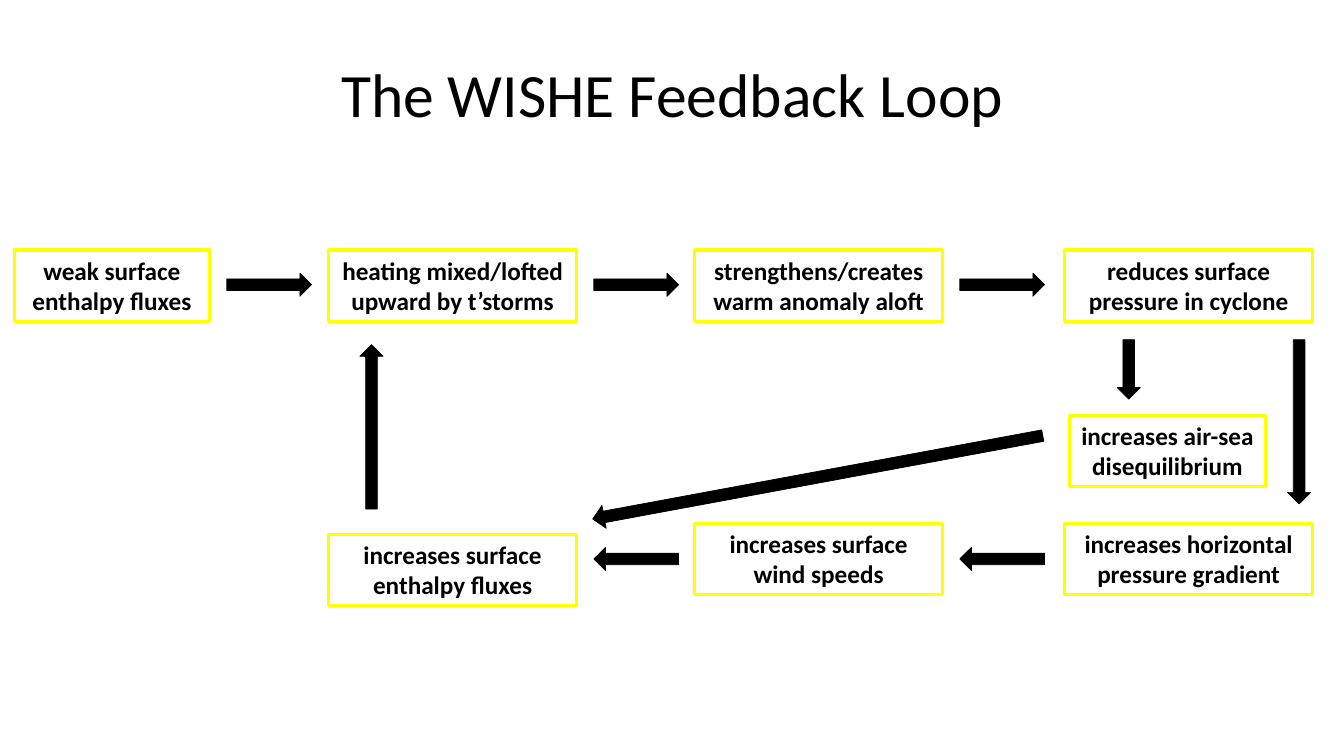
import pptx
import pptx.util
import pptx.dml.color
import pptx.enum.shapes
import pptx.enum.text

Inches = pptx.util.Inches
Shapes = pptx.enum.shapes.MSO_SHAPE
CENTER = pptx.enum.text.PP_ALIGN.CENTER


def color(value):
    return pptx.dml.color.RGBColor.from_string(value)


def add_block(kind, left, top, width, height, line_color, line_width):
    block = slide.shapes.add_shape(
        kind, Inches(left), Inches(top), Inches(width), Inches(height))
    block.shadow.inherit = False
    block.line.color.rgb = color(line_color)
    block.line.width = pptx.util.Pt(line_width)
    return block


deck = pptx.Presentation()
deck.slide_width, deck.slide_height = Inches(13.33), Inches(7.5)
slide = deck.slides.add_slide(deck.slide_layouts[5])

title = slide.shapes.title
title_place = {"left": 0.67, "top": 0.3, "width": 12, "height": 1.25}
for name, value in title_place.items():
    setattr(title, name, Inches(value))
title.text_frame.text = "The WISHE Feedback Loop"
title.text_frame.vertical_anchor = pptx.enum.text.MSO_ANCHOR.MIDDLE
title_para = title.text_frame.paragraphs[0]
title_para.alignment = CENTER
title_format = {"name": "Calibri", "size": pptx.util.Pt(44)}
for name, value in title_format.items():
    setattr(title_para.runs[0].font, name, value)
title_para.runs[0].font.color.rgb = color("000000")

columns = [0.14, 3.26, 6.89, 10.56]
narrow, wide, box_height = 1.94, 2.46, 0.71
upper, lower = 2.48, 5.19
steps = [
    ("weak surface enthalpy fluxes", columns[0], upper, narrow),
    ("heating mixed/lofted upward by t’storms", columns[1], upper, wide),
    ("strengthens/creates warm anomaly aloft", columns[2], upper, wide),
    ("reduces surface pressure in cyclone", columns[3], upper, wide),
    ("increases horizontal pressure gradient", columns[3], lower, wide),
    ("increases surface wind speeds", columns[2], lower, wide),
    ("increases air-sea disequilibrium", 10.61, 4.12, narrow),
    ("increases surface enthalpy fluxes", columns[1], 5.3, wide),
]
step_format = {"name": "Calibri", "size": pptx.util.Pt(18), "bold": True}
for words, left, top, width in steps:
    box = add_block(Shapes.RECTANGLE, left, top, width, box_height, "FFFF00", 2.25)
    box.fill.background()
    frame = box.text_frame
    frame.word_wrap = True
    frame.auto_size = pptx.enum.text.MSO_AUTO_SIZE.SHAPE_TO_FIT_TEXT
    frame.vertical_anchor = pptx.enum.text.MSO_ANCHOR.TOP
    para = frame.paragraphs[0]
    para.alignment = CENTER
    span = para.add_run()
    span.text = words
    for name, value in step_format.items():
        setattr(span.font, name, value)
    span.font.color.rgb = color("000000")

gap, short, long, thickness = 0.17, 0.84, 1.63, 0.23
gap_starts = [columns[0] + narrow + gap, columns[1] + wide + gap, columns[2] + wide + gap]
arrows = [(left, 2.71, short, 0) for left in gap_starts]
arrows += [(left, 5.43, short, 180) for left in gap_starts[1:]]
arrows += [
    (12.07, 4.07, long, 90),
    (10.9, 3.55, 0.59, 90),
    (2.87, 4.12, long, 270),
    (5.84, 4.62, 4.54, 169.5),
]
for left, top, length, angle in arrows:
    arrow = add_block(Shapes.RIGHT_ARROW, left, top, length, thickness, "000000", 0.5)
    arrow.rotation = angle
    arrow.fill.solid()
    arrow.fill.fore_color.rgb = color("000000")

deck.save("out.pptx")
